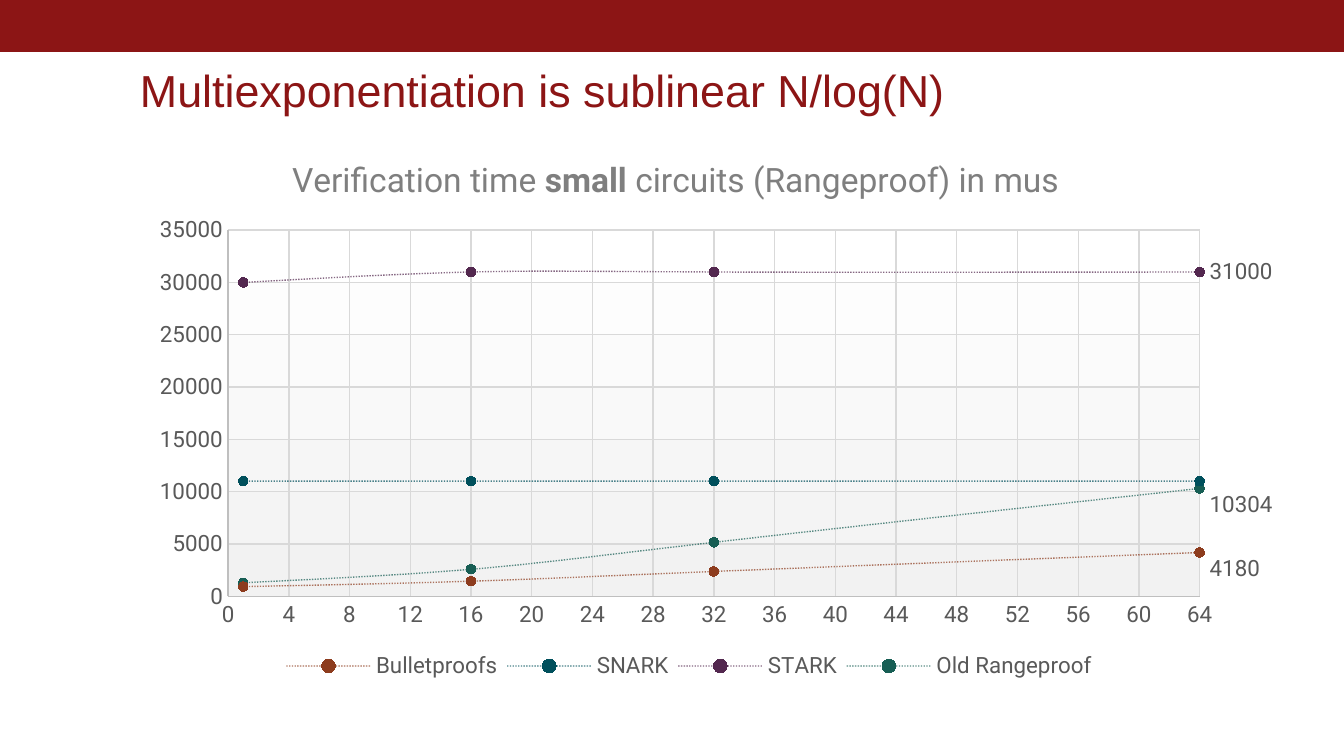
import pptx
import pptx.util
import pptx.dml.color
import pptx.chart.data
import pptx.enum.chart
import pptx.enum.dml
import pptx.enum.shapes
import pptx.enum.text
import pptx.oxml
import pptx.oxml.ns

Pt = pptx.util.Pt
EC = pptx.enum.chart
NS = pptx.oxml.ns.nsdecls("c", "a")

HUES = {
    "red": "8C1515", "white": "FFFFFF", "pale": "F2F2F2", "grid": "D9D9D9",
    "axis": "BFBFBF", "text": "595959", "head": "7F7F7F", "black": "000000",
    "rust": "8D3C1E", "teal": "00505C", "plum": "53284F", "pine": "175E54",
}
TIMES = (1, 16, 32, 64)
ROWS = [
    ("Bulletproofs", "rust", (919, 1437, 2367, 4180), 0.03),
    ("SNARK", "teal", (11000,) * 4, None),
    ("STARK", "plum", (30000, 31000, 31000, 31000), 0),
    ("Old Rangeproof", "pine", (1288, 2576, 5152, 10304), 0.03),
]


def color(name):
    return pptx.dml.color.RGBColor.from_string(HUES[name])


def assign(item, values):
    for key, value in values.items():
        setattr(item, key, value)


def style(font, size, hue, name="Roboto", bold=False):
    assign(font, {"size": Pt(size), "name": name, "bold": bold})
    font.color.rgb = color(hue)


def stroke(line, hue):
    line.width = Pt(0.75)
    line.color.rgb = color(hue)


def place(node, index, **parts):
    for old in node.findall(pptx.oxml.ns.qn("c:layout")):
        node.remove(old)
    body = "".join(f'<c:{key} val="{value}"/>' for key, value in parts.items())
    node.insert(index, pptx.oxml.parse_xml(
        f"<c:layout {NS}><c:manualLayout>{body}</c:manualLayout></c:layout>"))


def paint(fill):
    return pptx.oxml.parse_xml(
        f"<c:spPr {NS}>{fill}<a:ln><a:noFill/></a:ln></c:spPr>")


def add_bar(slide):
    bar = slide.shapes.add_shape(
        pptx.enum.shapes.MSO_SHAPE.RECTANGLE, Pt(-0.5), 0, Pt(720.5), Pt(27.4))
    bar.shadow.inherit = False
    bar.fill.solid()
    bar.fill.fore_color.rgb = color("red")
    stroke(bar.line, "red")


def add_head(slide, text):
    frame = slide.shapes.add_textbox(Pt(75), Pt(28), Pt(607), Pt(38.2)).text_frame
    assign(frame, {
        "word_wrap": True,
        "vertical_anchor": pptx.enum.text.MSO_ANCHOR.BOTTOM,
        "margin_left": 0, "margin_right": Pt(7.2),
        "margin_top": Pt(3.6), "margin_bottom": Pt(3.6),
    })
    para = frame.paragraphs[0]
    para.line_spacing = 0.85
    run = para.add_run()
    run.text = text
    style(run.font, 24, "red", "Arial")


def set_title(chart, parts):
    chart.has_title = True
    para = chart.chart_title.text_frame.paragraphs[0]
    for text, bold in parts:
        run = para.add_run()
        run.text = text
        style(run.font, 18, "head", bold=bold)
    place(chart.chart_title._element, 1,
          xMode="edge", yMode="edge", x=0.13, y=0.04)


def set_axis(axis, top, step):
    assign(axis, {
        "minimum_scale": 0, "maximum_scale": top, "major_unit": step,
        "has_major_gridlines": True, "has_minor_gridlines": False,
        "major_tick_mark": EC.XL_TICK_MARK.NONE,
        "minor_tick_mark": EC.XL_TICK_MARK.NONE,
    })
    style(axis.tick_labels.font, 12, "text")
    stroke(axis.format.line, "axis")
    stroke(axis.major_gridlines.format.line, "grid")


def set_series(series, hue, drop):
    line = series.format.line
    stroke(line, hue)
    line.dash_style = pptx.enum.dml.MSO_LINE.ROUND_DOT
    node = series._element
    for tint in node.xpath("c:spPr/a:ln/a:solidFill/a:srgbClr"):
        tint.append(pptx.oxml.parse_xml(f'<a:alpha {NS} val="70000"/>'))
    for smooth in node.xpath("c:smooth"):
        smooth.set("val", "1")
    mark = series.marker
    assign(mark, {"style": EC.XL_MARKER_STYLE.CIRCLE, "size": 5})
    mark.format.fill.solid()
    mark.format.fill.fore_color.rgb = color(hue)
    stroke(mark.format.line, hue)
    if drop is not None:
        label = series.points[len(TIMES) - 1].data_label
        style(label.font, 12, "text")
        label.position = EC.XL_LABEL_POSITION.RIGHT
        if drop:
            place(node.xpath("c:dLbls/c:dLbl")[0], 1, x=0, y=drop)


def set_back(chart):
    space = chart._chartSpace
    space.xpath("c:txPr")[0].addprevious(paint(
        f'<a:solidFill><a:srgbClr val="{HUES["white"]}"/></a:solidFill>'))
    area = space.xpath("c:chart/c:plotArea")[0]
    place(area, 0, layoutTarget="inner", xMode="edge", yMode="edge",
          x=0.077, y=0.176, w=0.86, h=0.663)
    stops = "".join(
        f'<a:gs pos="{pos}"><a:srgbClr val="{HUES[hue]}"/></a:gs>'
        for pos, hue in ((0, "white"), (100000, "pale")))
    area.append(paint(f'<a:gradFill><a:gsLst>{stops}</a:gsLst>'
                      '<a:lin ang="5400000" scaled="0"/></a:gradFill>'))


def add_chart(slide):
    data = pptx.chart.data.XyChartData()
    for name, _, values, _ in ROWS:
        series = data.add_series(name)
        for pair in zip(TIMES, values):
            series.add_data_point(*pair)
    chart = slide.shapes.add_chart(
        EC.XL_CHART_TYPE.XY_SCATTER_SMOOTH,
        Pt(75.6), Pt(71.3), Pt(606.2), Pt(295.9), data).chart
    style(chart.font, 10, "black")
    set_title(chart, [("Verification time ", False), ("small", True),
                      (" circuits (Rangeproof) in mus", False)])
    set_axis(chart.category_axis, 64, 4)
    set_axis(chart.value_axis, 35000, 5000)
    plot = chart.plots[0]
    plot.vary_by_categories = False
    for series, (_, hue, _, drop) in zip(plot.series, ROWS):
        set_series(series, hue, drop)
    chart.has_legend = True
    assign(chart.legend, {"position": EC.XL_LEGEND_POSITION.BOTTOM,
                          "include_in_layout": False})
    style(chart.legend.font, 12, "text")
    place(chart.legend._element, 1, xMode="edge", yMode="edge",
          x=0.12, y=0.93, w=0.73, h=0.07)
    set_back(chart)


def main():
    deck = pptx.Presentation()
    assign(deck, {"slide_width": Pt(720), "slide_height": Pt(405)})
    slide = deck.slides.add_slide(deck.slide_layouts[6])
    add_bar(slide)
    add_head(slide, "Multiexponentiation is sublinear N/log(N)")
    add_chart(slide)
    deck.save("out.pptx")


if __name__ == "__main__":
    main()
